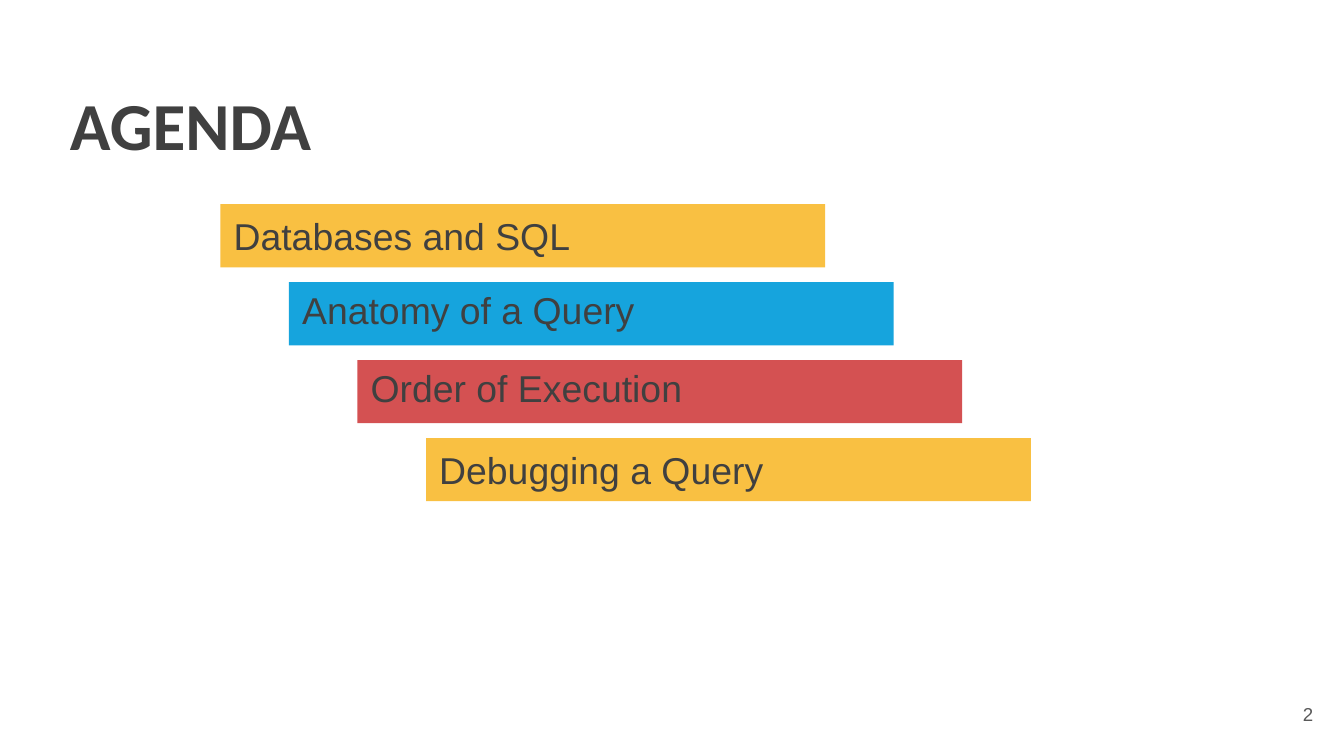
from pptx import Presentation
from pptx.dml.color import RGBColor
from pptx.enum.shapes import MSO_SHAPE
from pptx.enum.text import MSO_ANCHOR, MSO_AUTO_SIZE, PP_ALIGN
from pptx.util import Inches, Pt

COLORS = {
    "ink": "404040",
    "gray": "595959",
    "gold": "F9C042",
    "blue": "16A4DD",
    "red": "D45152",
}

TOPICS = [
    ("Databases and SQL", "gold", 1.0),
    ("Anatomy of a Query", "blue", 0.8),
    ("Order of Execution", "red", 0.8),
    ("Debugging a Query", "gold", 1.0),
]


def color(name):
    return RGBColor.from_string(COLORS[name])


def write(shape, text, size=20, font="Arial", ink="ink", bold=False,
          align=PP_ALIGN.LEFT, anchor=MSO_ANCHOR.MIDDLE, spacing=1.0):
    frame = shape.text_frame
    frame.auto_size = MSO_AUTO_SIZE.NONE
    frame.word_wrap = True
    frame.vertical_anchor = anchor
    frame.margin_left = frame.margin_right = Inches(0.1)
    frame.margin_top = frame.margin_bottom = Inches(0.1)
    para = frame.paragraphs[0]
    para.alignment = align
    para.line_spacing = spacing
    run = para.add_run()
    run.text = text
    run.font.size = Pt(size)
    run.font.name = font
    run.font.bold = bold
    run.font.color.rgb = color(ink)


class Deck:
    """Holds the slide and the style of its elements."""

    def __init__(self):
        self.file = Presentation()
        self.file.slide_width = Inches(10)
        self.file.slide_height = Inches(10 * 9 / 16)
        self.slide = self.file.slides.add_slide(self.file.slide_layouts[5])

    def title(self, text, left, top, width, height):
        shape = self.slide.shapes.title
        shape.left, shape.top = Inches(left), Inches(top)
        shape.width, shape.height = Inches(width), Inches(height)
        write(shape, text, size=36, font="Calibri", bold=True,
              anchor=MSO_ANCHOR.TOP)

    def bar(self, text, fill, left, top, width, height, spacing):
        shape = self.slide.shapes.add_shape(
            MSO_SHAPE.RECTANGLE, Inches(left), Inches(top),
            Inches(width), Inches(height))
        shape.shadow.inherit = False
        shape.fill.solid()
        shape.fill.fore_color.rgb = color(fill)
        shape.line.fill.background()
        write(shape, text, spacing=spacing)

    def label(self, text, left, top, width, height, **style):
        box = self.slide.shapes.add_textbox(
            Inches(left), Inches(top), Inches(width), Inches(height))
        write(box, text, **style)


def main():
    deck = Deck()
    deck.title("AGENDA", 0.42, 0.52, 4.01, 0.63)
    for step, (topic, fill, spacing) in enumerate(TOPICS):
        deck.bar(topic, fill, 1.64 + 0.51 * step, 1.52 + 0.58 * step,
                 4.5, 0.47, spacing)
    deck.label("2", 9.27, 5.1, 0.6, 0.43, size=10, ink="gray",
               align=PP_ALIGN.RIGHT)
    deck.file.save("out.pptx")


if __name__ == "__main__":
    main()
